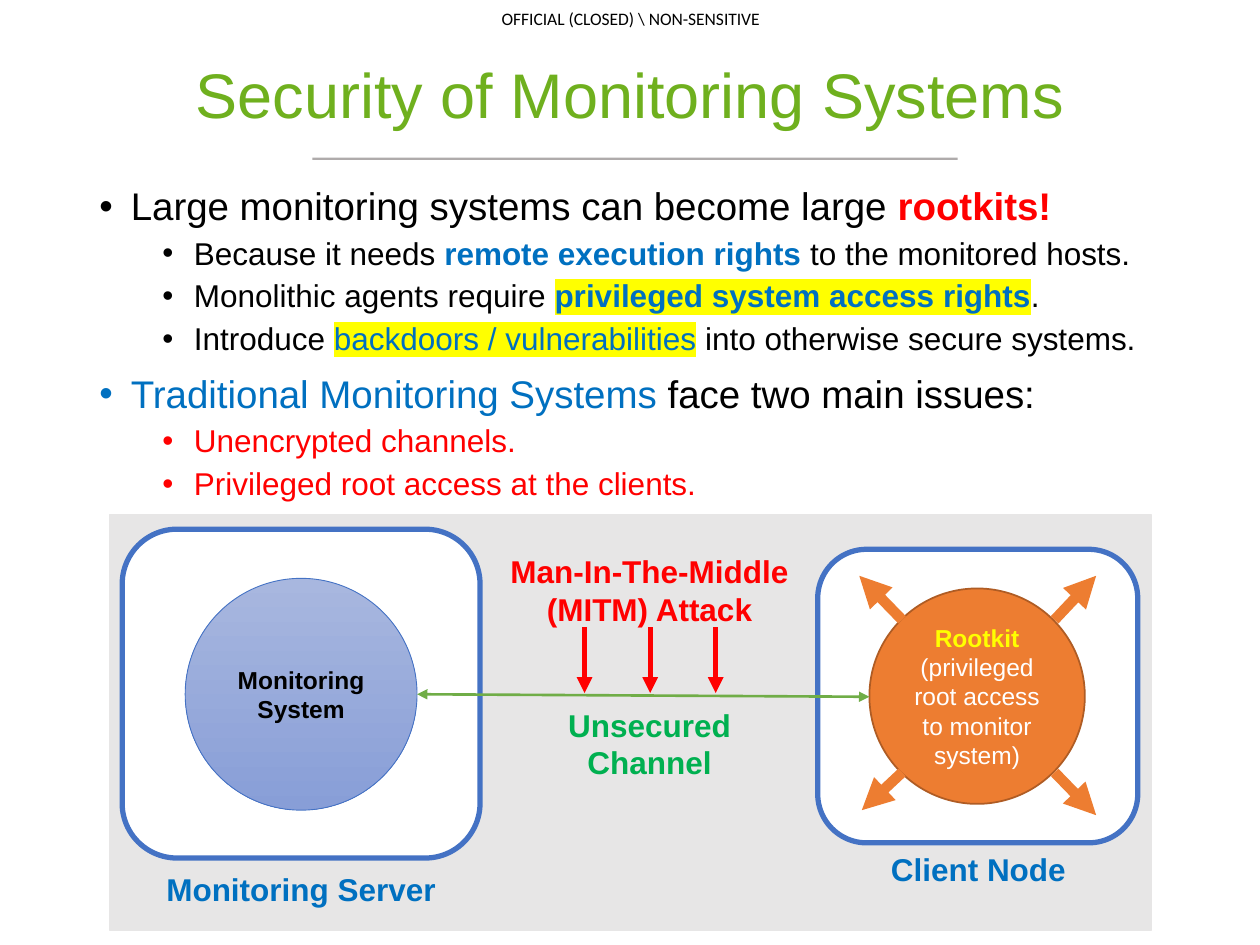
from lxml import etree
from pptx import Presentation
from pptx.dml.color import RGBColor
from pptx.enum.shapes import MSO_CONNECTOR, MSO_SHAPE as SHAPE
from pptx.enum.text import MSO_ANCHOR as ANCHOR, PP_ALIGN as ALIGN
from pptx.oxml import parse_xml
from pptx.oxml.ns import nsdecls, qn
from pptx.util import Inches, Pt

BLACK = RGBColor(0x00, 0x00, 0x00)
WHITE = RGBColor(0xFF, 0xFF, 0xFF)
RED = RGBColor(0xFF, 0x00, 0x00)
YELLOW = RGBColor(0xFF, 0xFF, 0x00)
BLUE = RGBColor(0x00, 0x70, 0xC0)
GREEN = RGBColor(0x00, 0xB0, 0x50)
TITLE_GREEN = RGBColor(0x6F, 0xB0, 0x1E)
CHANNEL_GREEN = RGBColor(0x70, 0xAD, 0x47)
RULE_GREY = RGBColor(0xAF, 0xAB, 0xAB)
PANEL_GREY = RGBColor(0xE7, 0xE6, 0xE6)
FRAME_BLUE = RGBColor(0x44, 0x72, 0xC4)
LIGHT_BLUE = RGBColor(0xA8, 0xB7, 0xDF)
MID_BLUE = RGBColor(0x88, 0x9E, 0xD7)
ORANGE = RGBColor(0xED, 0x7D, 0x31)
DARK_ORANGE = RGBColor(0xAF, 0x5C, 0x24)

prs = Presentation()
prs.slide_width, prs.slide_height = Inches(10), Inches(7.5)
s = prs.slides.add_slide(prs.slide_layouts[6])


def write(p, text, size=18, color=BLACK, bold=False, font="Arial", highlight=None):
    r = p.add_run()
    r.text = text
    r.font.size, r.font.bold, r.font.name = Pt(size), bold, font
    r.font.color.rgb = color
    if highlight is not None:
        mark = parse_xml(f'<a:highlight {nsdecls("a")}><a:srgbClr val="{highlight}"/></a:highlight>')
        r.font._element.find(qn("a:solidFill")).addnext(mark)


def add_line(x1, y1, x2, y2, color, width, ends=("tailEnd",)):
    """Draw a line with a triangle at each of the given ends."""
    line = s.shapes.add_connector(
        MSO_CONNECTOR.STRAIGHT, Inches(x1), Inches(y1), Inches(x2), Inches(y2))
    line.line.color.rgb = color
    line.line.width = Pt(width)
    for end in ends:
        etree.SubElement(line.line._get_or_add_ln(), qn(f"a:{end}"), type="triangle")
    etree.SubElement(line._element.spPr, qn("a:effectLst"))


# Shapes: kind, box, fill, line, line width
shapes = {}
for name, kind, box, fill, outline, width in [
    ("rule", SHAPE.RECTANGLE, (2.48, 1.25, 5.12, 0.02), RULE_GREY, None, 0),
    ("panel", SHAPE.RECTANGLE, (0.87, 4.09, 8.27, 3.29), PANEL_GREY, PANEL_GREY, 1),
    ("client", SHAPE.ROUNDED_RECTANGLE, (6.49, 4.36, 2.54, 2.33), WHITE, FRAME_BLUE, 3),
    ("rootkit", SHAPE.OVAL, (6.9, 4.67, 1.71, 1.71), ORANGE, DARK_ORANGE, 1),
    ("server", SHAPE.ROUNDED_RECTANGLE, (0.97, 4.2, 2.84, 2.61), WHITE, FRAME_BLUE, 3),
    ("monitor", SHAPE.OVAL, (1.47, 4.59, 1.84, 1.84), LIGHT_BLUE, FRAME_BLUE, 0.5),
]:
    sp = s.shapes.add_shape(kind, *map(Inches, box))
    sp.shadow.inherit = False
    sp.fill.solid()
    sp.fill.fore_color.rgb = fill
    if outline is None:
        sp.line.fill.background()
    else:
        sp.line.color.rgb = outline
        sp.line.width = Pt(width)
    shapes[name] = sp

fill = shapes["monitor"].fill
fill.gradient()
fill.gradient_angle = 270
for stop, color in zip(fill.gradient_stops, (LIGHT_BLUE, MID_BLUE)):
    stop.color.rgb = color

for name, lines in {
    "rootkit": [("Rootkit", YELLOW, True),
                ("(privileged root access to monitor system)", WHITE, False)],
    "monitor": [("Monitoring System", BLACK, True)],
}.items():
    tf = shapes[name].text_frame
    tf.word_wrap = True
    tf.vertical_anchor = ANCHOR.MIDDLE
    for i, (text, color, bold) in enumerate(lines):
        p = tf.add_paragraph() if i else tf.paragraphs[0]
        p.alignment = ALIGN.CENTER
        write(p, text, size=14, color=color, bold=bold)

# Arrows bursting out of the rootkit, the channel, and the attack on it
for x1, y1, x2, y2 in [(8.37, 4.92, 8.7, 4.57), (7.16, 4.92, 6.82, 4.57),
                       (7.16, 6.13, 6.84, 6.43), (8.37, 6.13, 8.7, 6.47)]:
    add_line(x1, y1, x2, y2, ORANGE, 6)
add_line(3.31, 5.51, 6.9, 5.53, CHANNEL_GREEN, 1.5, ends=("headEnd", "tailEnd"))
for i in range(3):
    x = 4.64 + 0.52 * i
    add_line(x, 4.98, x, 5.5, RED, 3)

# Centred text boxes
label = dict(bold=True)
for text, box, style in [
    ("OFFICIAL (CLOSED) \\ NON-SENSITIVE", (3.8, 0, 2.41, 0.29), dict(size=10, font="Calibri")),
    ("Security of Monitoring Systems", (0.69, 0.43, 8.62, 0.69), dict(size=36, color=TITLE_GREEN)),
    ("Client Node", (6.66, 6.7, 2.21, 0.4), dict(label, color=BLUE)),
    ("Monitoring Server", (0.97, 6.86, 2.84, 0.4), dict(label, color=BLUE)),
    ("Unsecured Channel", (4.36, 5.55, 1.59, 0.71), dict(label, color=GREEN)),
    ("Man-In-The-Middle (MITM) Attack", (3.95, 4.33, 2.41, 0.71), dict(label, color=RED)),
]:
    tf = s.shapes.add_textbox(*map(Inches, box)).text_frame
    tf.word_wrap = True
    p = tf.paragraphs[0]
    p.alignment = ALIGN.CENTER
    if "bold" not in style:
        tf.vertical_anchor = ANCHOR.MIDDLE
    if style.get("size") == 36:
        p.line_spacing = 0.9
    if style.get("font") == "Calibri":
        tf.margin_left = tf.margin_right = tf.margin_top = tf.margin_bottom = 0
    write(p, text, **style)

# Bulleted body: level, then runs of text and format
body = [
    (0, [("Large monitoring systems can become large ", {}),
         ("rootkits!", dict(color=RED, bold=True))]),
    (1, [("Because it needs ", {}),
         ("remote execution rights", dict(color=BLUE, bold=True)),
         (" to the monitored hosts.", {})]),
    (1, [("Monolithic agents require ", {}),
         ("privileged system access rights", dict(color=BLUE, bold=True, highlight=YELLOW)),
         (".", {})]),
    (1, [("Introduce ", {}),
         ("backdoors / vulnerabilities", dict(color=BLUE, highlight=YELLOW)),
         (" into otherwise secure systems.", {})]),
    (0, [("Traditional Monitoring Systems", dict(color=BLUE)),
         (" face two main issues:", {})]),
    (1, [("Unencrypted channels.", dict(color=RED))]),
    (1, [("Privileged root access at the clients.", dict(color=RED))]),
]
tf = s.shapes.add_textbox(Inches(0.69), Inches(1.44), Inches(8.62), Inches(2.94)).text_frame
tf.word_wrap = True
for i, (level, runs) in enumerate(body):
    p = tf.add_paragraph() if i else tf.paragraphs[0]
    p.level = level
    p.line_spacing = 0.9
    p.space_before = Pt(5 if level else 10)
    pPr = p._p.get_or_add_pPr()
    pPr.set("marL", str(Inches(0.25 + 0.5 * level)))
    pPr.set("indent", str(Inches(-0.25)))
    etree.SubElement(pPr, qn("a:buFont"), typeface="Arial")
    etree.SubElement(pPr, qn("a:buChar"), char="•")
    for text, style in runs:
        write(p, text, size=18 if level else 22, **style)

prs.save("out.pptx")
